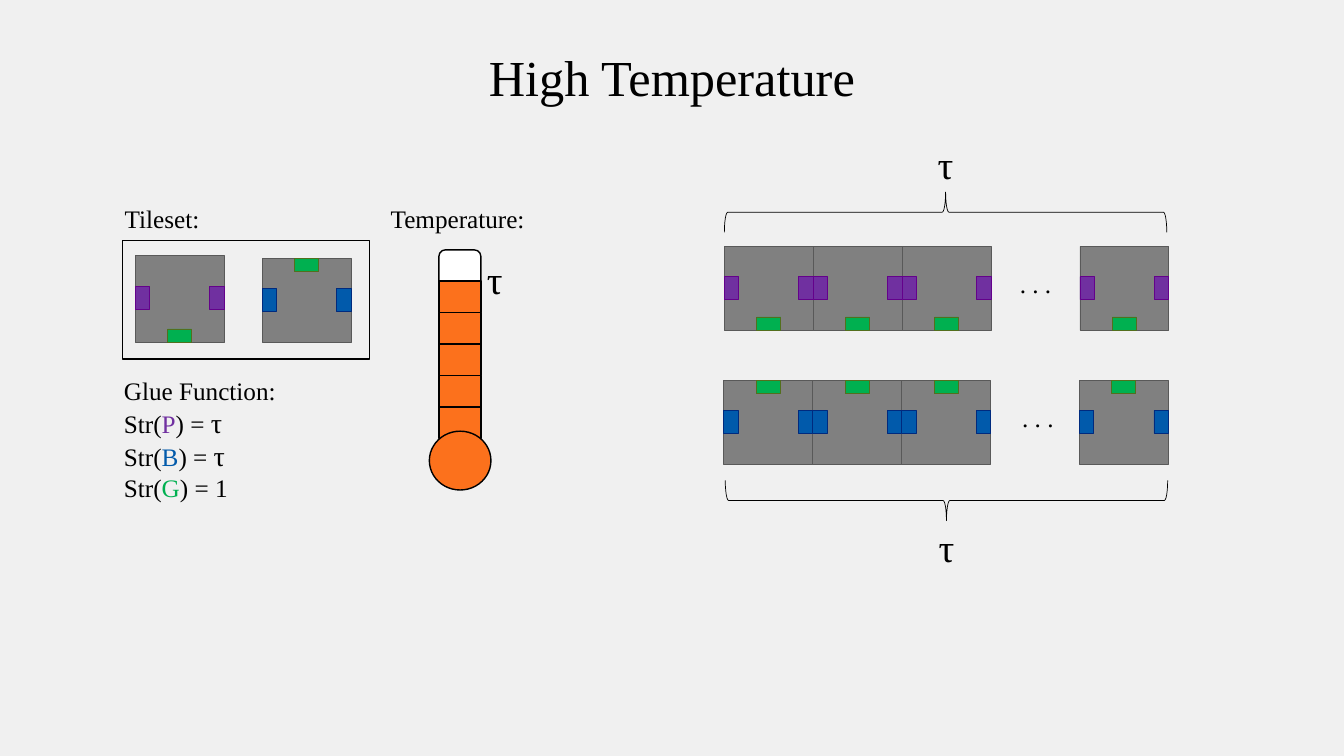
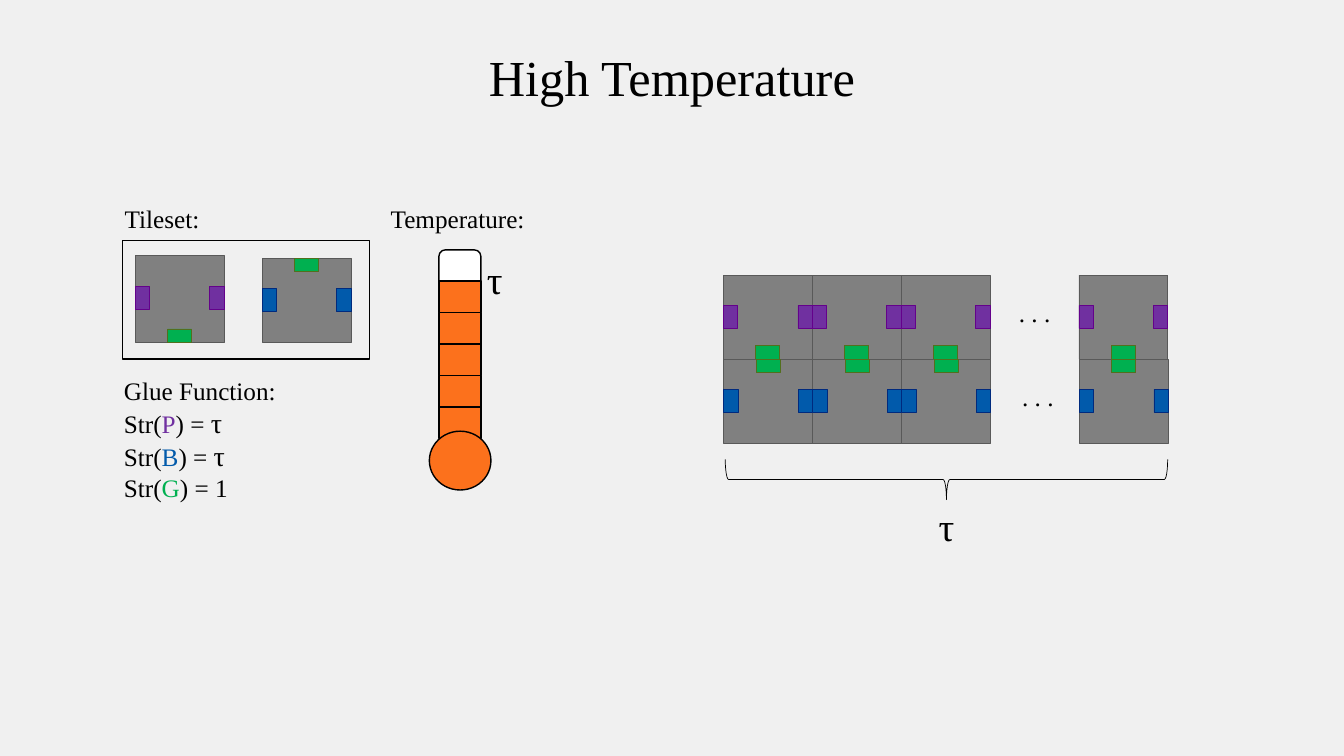
from pptx import Presentation
from pptx.dml.color import RGBColor
from pptx.enum.shapes import MSO_SHAPE
from pptx.enum.text import MSO_ANCHOR, MSO_AUTO_SIZE, PP_ALIGN
from pptx.util import Pt

BACKGROUND = RGBColor(0xF0, 0xF0, 0xF0)
BLACK = RGBColor(0x00, 0x00, 0x00)
WHITE = RGBColor(0xFF, 0xFF, 0xFF)
ORANGE = RGBColor(0xFC, 0x71, 0x1C)
TILE_GREY = RGBColor(0x80, 0x80, 0x80)
TILE_EDGE = RGBColor(0x59, 0x59, 0x59)
PURPLE = RGBColor(0x70, 0x30, 0xA0)
PURPLE_EDGE = RGBColor(0x64, 0x01, 0x8B)
BLUE = RGBColor(0x01, 0x5A, 0xAB)
BLUE_EDGE = RGBColor(0x00, 0x2A, 0x7E)
GREEN = RGBColor(0x00, 0xB0, 0x50)
GREEN_EDGE = RGBColor(0x53, 0x6F, 0x1D)

FONT = "Times New Roman"
SLIDE_WIDTH, SLIDE_HEIGHT = 960, 540
TILE_WIDTH, TILE_HEIGHT, TILE_PITCH = 63.5, 60, 63.5
TILE_COLUMNS = (0, 1, 2, 4)
SIDE_GLUE_WIDTH, SIDE_GLUE_HEIGHT = 10.3, 16.4
GREEN_GLUE_WIDTH, GREEN_GLUE_HEIGHT = 17.2, 9.6
BRACE_SPAN, BRACE_DEPTH = 316, 28.8


class TileDeck:
    def __init__(self):
        self.presentation = Presentation()
        self.presentation.slide_width = Pt(SLIDE_WIDTH)
        self.presentation.slide_height = Pt(SLIDE_HEIGHT)
        fill = self.presentation.slide_master.background.fill
        fill.solid()
        fill.fore_color.rgb = BACKGROUND
        self.slide = None

    def add_slide(self, title):
        layout = self.presentation.slide_layouts.get_by_name("Title Only")
        self.slide = self.presentation.slides.add_slide(layout)
        shape = self.slide.shapes.title
        shape.left, shape.top = Pt(0), Pt(29.5)
        shape.width, shape.height = Pt(SLIDE_WIDTH), Pt(51)
        text_frame = shape.text_frame
        text_frame.text = title
        text_frame.auto_size = MSO_AUTO_SIZE.NONE
        text_frame.vertical_anchor = MSO_ANCHOR.TOP
        paragraph = text_frame.paragraphs[0]
        paragraph.alignment = PP_ALIGN.CENTER
        self.format_run(paragraph.runs[0], 36)

    def format_run(self, run, size, colour=BLACK):
        run.font.name = FONT
        run.font.size = Pt(size)
        run.font.color.rgb = colour

    def add_text(self, left, top, width, height, lines):
        shape = self.slide.shapes.add_textbox(
            Pt(left), Pt(top), Pt(width), Pt(height))
        text_frame = shape.text_frame
        text_frame.word_wrap = True
        for index, pieces in enumerate(lines):
            paragraph = (text_frame.add_paragraph() if index
                         else text_frame.paragraphs[0])
            for text, *style in pieces:
                run = paragraph.add_run()
                run.text = text
                self.format_run(run, *style)

    def add_label(self, left, top, text, size=18, width=130):
        self.add_text(left, top, width, size * 1.6, [[(text, size)]])

    def add_shape(self, kind, left, top, width, height, fill=None,
                  edge=BLACK, weight=1, group=None):
        shapes = (group or self.slide).shapes
        shape = shapes.add_shape(
            kind, Pt(left), Pt(top), Pt(width), Pt(height))
        shape.shadow.inherit = False
        if fill is None:
            shape.fill.background()
        else:
            shape.fill.solid()
            shape.fill.fore_color.rgb = fill
        shape.line.color.rgb = edge
        shape.line.width = Pt(weight)
        return shape

    def add_tile(self, left, top, side_colours, green_on_top,
                 height=TILE_HEIGHT):
        group = self.slide.shapes.add_group_shape()
        green_left = left + (TILE_WIDTH - GREEN_GLUE_WIDTH) / 2
        green_top = top if green_on_top else top + height - GREEN_GLUE_HEIGHT
        side_right = left + TILE_WIDTH - SIDE_GLUE_WIDTH
        side_top = top + height * 0.36
        side_size = (SIDE_GLUE_WIDTH, SIDE_GLUE_HEIGHT)
        parts = (
            (left, top, TILE_WIDTH, height, TILE_GREY, TILE_EDGE),
            (green_left, green_top, GREEN_GLUE_WIDTH, GREEN_GLUE_HEIGHT,
             GREEN, GREEN_EDGE),
            (side_right, side_top, *side_size, *side_colours),
            (left, side_top, *side_size, *side_colours),
        )
        for part in parts:
            self.add_shape(MSO_SHAPE.RECTANGLE, *part, 0.5, group)

    def add_tile_row(self, left, top, side_colours, green_on_top, dots_offset):
        for column in TILE_COLUMNS:
            self.add_tile(left + column * TILE_PITCH, top,
                          side_colours, green_on_top)
        self.add_label(left + dots_offset, top + 12, ". . .", width=50)

    def add_purple_row(self, left, top):
        self.add_tile_row(left, top, (PURPLE, PURPLE_EDGE), False, 204)

    def add_blue_row(self, left, top):
        self.add_tile_row(left, top, (BLUE, BLUE_EDGE), True, 206)

    def add_brace(self, centre_x, centre_y, rotation, label_top):
        brace = self.add_shape(
            MSO_SHAPE.LEFT_BRACE, centre_x - BRACE_DEPTH / 2,
            centre_y - BRACE_SPAN / 2, BRACE_DEPTH, BRACE_SPAN, weight=0.5)
        brace.rotation = rotation
        self.add_label(centre_x - 12.8, label_top, "τ", 28, 40)

    def add_brace_below(self, row_top):
        self.add_brace(676.1, row_top + 86, 270, row_top + 98.6)

    def add_thermometer(self):
        left, width, cell_height = 313.5, 30, 22.5
        group = self.slide.shapes.add_group_shape()
        self.add_shape(MSO_SHAPE.ROUNDED_RECTANGLE, left, 178.5, width, 28,
                       WHITE, group=group)
        for index in range(5):
            self.add_shape(MSO_SHAPE.RECTANGLE, left,
                           200.7 + index * cell_height, width, cell_height,
                           ORANGE, group=group)
        self.add_shape(MSO_SHAPE.OVAL, 306.7, 308, 44, 42, ORANGE,
                       group=group)
        self.add_label(340.6, 178.5, "τ", 28, 40)

    def add_system(self):
        self.add_label(82, 141.8, "Tileset:")
        self.add_label(272, 141.8, "Temperature:")
        self.add_shape(MSO_SHAPE.RECTANGLE, 87.7, 171.8, 176.4, 84.8)
        self.add_tile(96.5, 182.3, (PURPLE, PURPLE_EDGE), False, 62.3)
        self.add_tile(187.2, 184.4, (BLUE, BLUE_EDGE), True)
        self.add_thermometer()
        lines = [[("Glue Function:", 18)]]
        for glue, colour, strength, size in (("P", PURPLE, "τ", 20),
                                             ("B", BLUE, "τ", 20),
                                             ("G", GREEN, "1", 18)):
            lines.append([("Str(", 18), (glue, 18, colour),
                          (") = ", 18), (strength, size)])
        self.add_text(81.4, 264.2, 140, 99.4, lines)


def main():
    deck = TileDeck()

    deck.add_slide("High Temperature")
    deck.add_system()
    deck.add_purple_row(517.4, 176)
    deck.add_brace(675.4, 151.6, 90, 96.5)
    deck.add_blue_row(517, 271.5)
    deck.add_brace_below(271.5)

    deck.add_slide("High Temperature")
    deck.add_system()
    deck.add_purple_row(516.7, 196.5)
    deck.add_blue_row(517, 256.5)
    deck.add_brace_below(256.5)

    deck.presentation.save("out.pptx")


if __name__ == "__main__":
    main()
